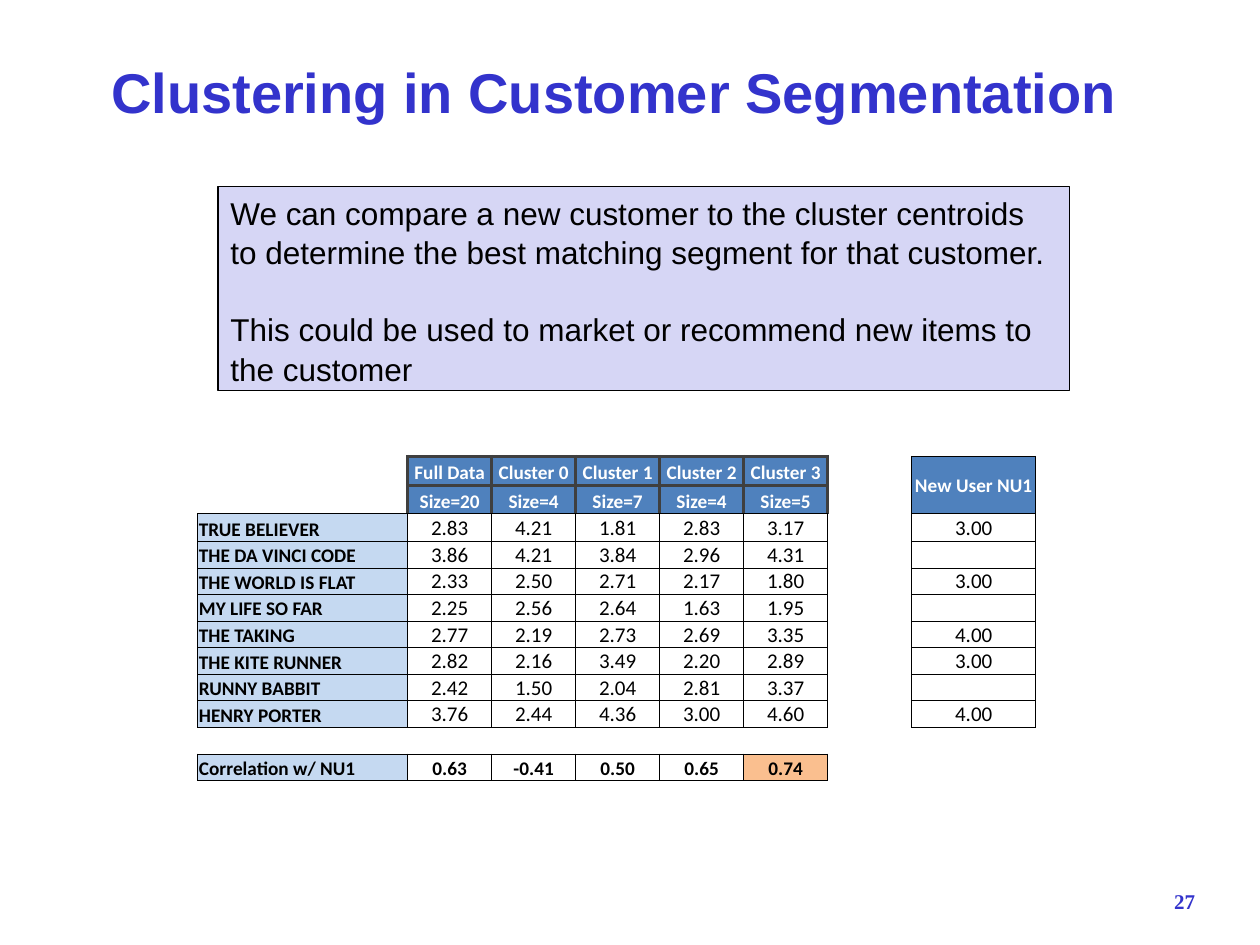
from pptx import Presentation
from pptx.dml.color import RGBColor
from pptx.enum.shapes import MSO_SHAPE
from pptx.enum.text import MSO_ANCHOR, PP_ALIGN
from pptx.oxml import parse_xml
from pptx.oxml.ns import nsdecls
from pptx.util import Pt

LEFT, CENTER, RIGHT = PP_ALIGN.LEFT, PP_ALIGN.CENTER, PP_ALIGN.RIGHT
TOP, MIDDLE, BOTTOM = MSO_ANCHOR.TOP, MSO_ANCHOR.MIDDLE, MSO_ANCHOR.BOTTOM
RECTANGLE = MSO_SHAPE.RECTANGLE
TITLE_ONLY = 5
NO_TABLE_STYLE = "{2D5ABB26-0587-4C30-8999-92F81FD0307C}"

COLORS = {
    "title": "3333CC", "panel": "D6D6F5", "black": "000000", "white": "FFFFFF",
    "header": "4F81BD", "header_edge": "3F3F3F", "label": "C5D9F1", "best": "FABF8F",
}
THIN = ("black", 0.5)
THICK = ("header_edge", 2)

CLUSTERS = [("Full Data", 20), ("Cluster 0", 4), ("Cluster 1", 7), ("Cluster 2", 4), ("Cluster 3", 5)]
# Book, mean rating for each cluster, rating by the new user
RATINGS = [
    ("TRUE BELIEVER", "2.83 4.21 1.81 2.83 3.17", "3.00"),
    ("THE DA VINCI CODE", "3.86 4.21 3.84 2.96 4.31", ""),
    ("THE WORLD IS FLAT", "2.33 2.50 2.71 2.17 1.80", "3.00"),
    ("MY LIFE SO FAR", "2.25 2.56 2.64 1.63 1.95", ""),
    ("THE TAKING", "2.77 2.19 2.73 2.69 3.35", "4.00"),
    ("THE KITE RUNNER", "2.82 2.16 3.49 2.20 2.89", "3.00"),
    ("RUNNY BABBIT", "2.42 1.50 2.04 2.81 3.37", ""),
    ("HENRY PORTER", "3.76 2.44 4.36 3.00 4.60", "4.00"),
]
CORRELATIONS = ["0.63", "-0.41", "0.50", "0.65", "0.74"]
BEST_MATCH = "0.74"

COLUMN_WIDTHS = [120] + [48] * 6 + [71]
ROW_HEIGHTS = [16.4] * 2 + [15.8] + [15.2] * 9
NEW_USER_COLUMN = 7
CORRELATION_ROW = 11


class SlideBuilder:
    """Holds the style and the current slide."""

    def __init__(self, slide):
        self.slide = slide

    def color(self, name):
        return RGBColor.from_string(COLORS[name])

    def format(self, para, font, size, color, bold=False, align=LEFT):
        para.alignment = align
        for span in para.runs:
            span.font.name = font
            span.font.size = Pt(size)
            span.font.bold = bold
            span.font.color.rgb = self.color(color)

    def title(self, text, left, top, width, height):
        box = self.slide.shapes.title
        box.left, box.top, box.width, box.height = Pt(left), Pt(top), Pt(width), Pt(height)
        box.text_frame.text = text
        box.text_frame.vertical_anchor = MIDDLE
        self.format(box.text_frame.paragraphs[0], "Arial", 32, "title", True, CENTER)

    def page_number(self, text, left, top, width, height):
        box = self.slide.shapes.add_textbox(Pt(left), Pt(top), Pt(width), Pt(height))
        box.text_frame.word_wrap = True
        box.text_frame.text = text
        self.format(box.text_frame.paragraphs[0], "Times New Roman", 12, "title", True, RIGHT)

    def panel(self, paragraphs, left, top, width, height, gap):
        box = self.slide.shapes.add_shape(RECTANGLE, Pt(left), Pt(top), Pt(width), Pt(height))
        box.shadow.inherit = False
        box.fill.solid()
        box.fill.fore_color.rgb = self.color("panel")
        box.line.color.rgb = self.color("black")
        box.line.width = Pt(0.75)
        frame = box.text_frame
        frame.word_wrap = True
        frame.vertical_anchor = TOP
        frame.text = "\n".join(paragraphs)
        for para in frame.paragraphs:
            self.format(para, "Arial", 18, "black")
            para.line_spacing = 1.04
        for para in frame.paragraphs[1:]:
            para.space_before = Pt(gap)

    def table(self, left, top, widths, heights):
        frame = self.slide.shapes.add_table(
            len(heights), len(widths), Pt(left), Pt(top), Pt(sum(widths)), Pt(sum(heights)))
        table = frame.table
        table.first_row = table.horz_banding = False
        table._tbl.tblPr.find("{*}tableStyleId").text = NO_TABLE_STYLE
        for column, width in zip(table.columns, widths):
            column.width = Pt(width)
        for row, height in zip(table.rows, heights):
            row.height = Pt(height)
        for cell in table.iter_cells():
            self.cell(cell)
        return table

    def cell(self, cell, text="", fill="white", size=11, color="black", bold=True,
             align=CENTER, anchor=BOTTOM, edges=()):
        cell.margin_left = cell.margin_right = Pt(0.7)
        cell.margin_top, cell.margin_bottom = Pt(0.5), 0
        cell.vertical_anchor = anchor
        cell.text_frame.text = text
        para = cell.text_frame.paragraphs[0]
        self.format(para, "Calibri", size, color, bold, align)
        if not text:
            para._p.get_or_add_endParaRPr().set("sz", str(size * 100))
        # Borders come before the fill in the cell properties
        properties = cell._tc.get_or_add_tcPr()
        for side, (edge_color, width) in zip("LRTB", edges):
            properties.append(parse_xml(
                f'<a:ln{side} {nsdecls("a")} w="{Pt(width)}"><a:solidFill>'
                f'<a:srgbClr val="{COLORS[edge_color]}"/></a:solidFill></a:ln{side}>'))
        cell.fill.solid()
        cell.fill.fore_color.rgb = self.color(fill)


def fill_table(builder, table):
    thin, thick = [THIN] * 4, [THICK] * 4
    header = {"fill": "header", "color": "white"}
    label = {"fill": "label", "align": LEFT, "edges": thin}
    rating = {"size": 12, "bold": False, "edges": thin}

    # Cluster headers
    for column, (name, size) in enumerate(CLUSTERS, start=1):
        builder.cell(table.cell(0, column), name, edges=thick, **header)
        builder.cell(table.cell(1, column), f"Size={size}", edges=thick[:3] + [THIN], **header)

    # New user header over two rows
    top, below = table.cell(0, NEW_USER_COLUMN), table.cell(1, NEW_USER_COLUMN)
    top.merge(below)
    builder.cell(top, "New User NU1", anchor=MIDDLE, edges=thin, **header)
    builder.cell(below, edges=thin, **header)

    # Ratings
    for row, (book, means, new_user) in enumerate(RATINGS, start=2):
        builder.cell(table.cell(row, 0), book, **label)
        for column, mean in enumerate(means.split(), start=1):
            builder.cell(table.cell(row, column), mean, **rating)
        builder.cell(table.cell(row, NEW_USER_COLUMN), new_user, **rating)

    # Correlations
    builder.cell(table.cell(CORRELATION_ROW, 0), "Correlation w/ NU1", **label)
    for column, value in enumerate(CORRELATIONS, start=1):
        fill = "best" if value == BEST_MATCH else "white"
        builder.cell(table.cell(CORRELATION_ROW, column), value, fill=fill, edges=thin)


def main():
    deck = Presentation()
    deck.slide_width, deck.slide_height = Pt(720), Pt(540)
    builder = SlideBuilder(deck.slides.add_slide(deck.slide_layouts[TITLE_ONLY]))

    builder.page_number("27", 540, 504, 150, 24)
    builder.title("Clustering in Customer Segmentation", 21.6, 18.7, 658.8, 67)
    builder.panel([
        "We can compare a new customer to the cluster centroids to determine "
        "the best matching segment for that customer.",
        "This could be used to market or recommend new items to the customer",
    ], 124.6, 106.5, 486.7, 116.6, gap=21.5)
    fill_table(builder, builder.table(113, 260.8, COLUMN_WIDTHS, ROW_HEIGHTS))

    deck.save("out.pptx")


if __name__ == "__main__":
    main()
